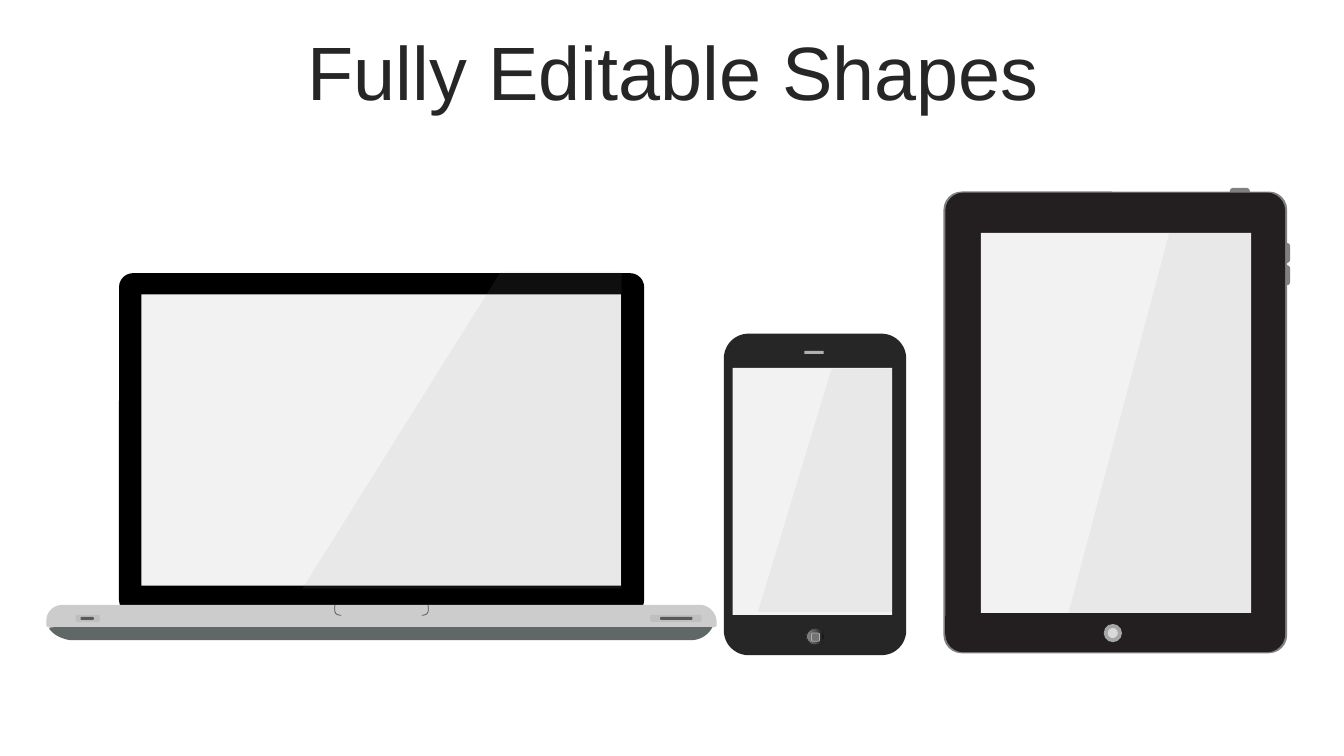
"""Build a slide with a laptop, a phone and a tablet drawn from editable shapes."""
import pptx
import pptx.util
import pptx.dml.color
import pptx.enum.shapes
import pptx.enum.text
import pptx.oxml
import pptx.oxml.ns

Pt = pptx.util.Pt
KIND = pptx.enum.shapes.MSO_SHAPE
COLORS = {
    "title": "262626", "tablet": "231F20", "phone": "262626", "lid": "000000",
    "edge": "808080", "screen": "F2F2F2", "glare": "999999", "base": "CCCCCC",
    "underside": "5F6767", "notch": "4D4D4D", "port": "BFBFBF", "slot": "595959",
    "speaker": "B0B0B0", "ring": "A6A6A6", "button": "D9D9D9", "home": "737373",
}
HOME_STOPS = [(0, "0F0F0F"), (56, "595959"), (91, "808080"), (100, "BFBFBF")]


def rgb(name):
    """Return the colour stored under a name."""
    return pptx.dml.color.RGBColor.from_string(COLORS[name])


def paint(shape, color):
    """Give a shape a plain fill without line or shadow."""
    shape.shadow.inherit = False
    shape.fill.solid()
    shape.fill.fore_color.rgb = rgb(color)
    shape.line.fill.background()


def add_preset(group, kind, color, left, top, width, height, radius=None):
    """Add a preset shape, with a corner radius where it has one."""
    shape = group.shapes.add_shape(kind, Pt(left), Pt(top), Pt(width), Pt(height))
    if radius is not None:
        shape.adjustments[0] = min(0.5, radius / min(width, height))
    paint(shape, color)
    return shape


def trace(path, steps=12):
    """Turn points and cubic curves (six numbers) into a list of points."""
    points = [path[0]]
    for part in path[1:]:
        if len(part) == 2:
            points.append(part)
            continue
        corners = [points[-1], part[:2], part[2:4], part[4:]]
        for step in range(1, steps + 1):
            t = step / steps
            weights = [(1 - t) ** 3, 3 * t * (1 - t) ** 2, 3 * t * t * (1 - t), t ** 3]
            points.append(tuple(sum(w * corner[axis] for w, corner in zip(weights, corners))
                                for axis in (0, 1)))
    return points


def add_outline(group, color, path, close=True):
    """Add a filled freeform along a path."""
    points = [(Pt(x), Pt(y)) for x, y in trace(path)]
    builder = group.shapes.build_freeform(*points[0])
    builder.add_line_segments(points[1:], close=close)
    shape = builder.convert_to_shape()
    paint(shape, color)
    return shape


def add_glare(group, top_left, top, right, bottom, bottom_left):
    """Add a faint slanted reflection over a screen."""
    shape = add_outline(group, "glare", [(top_left, top), (right, top),
                                         (right, bottom), (bottom_left, bottom)])
    color = shape._element.spPr.find(".//" + pptx.oxml.ns.qn("a:srgbClr"))
    color.append(pptx.oxml.parse_xml(
        f'<a:alpha {pptx.oxml.ns.nsdecls("a")} val="10000"/>'))


def add_notch_corner(group, x, direction):
    """Add one hairline corner of the lid notch."""
    shape = add_outline(group, "notch", [
        (x, 432), (x - direction, 438.5, x + direction, 439.2, x + 4.3 * direction, 439.5)],
        close=False)
    shape.fill.background()
    shape.line.color.rgb = rgb("notch")
    shape.line.width = Pt(0.5)


def add_home_gradient(shape):
    """Fill the home button with its four-stop gradient."""
    shape.fill.gradient()
    shape.fill.gradient_angle = 180
    stops = shape._element.spPr.find(".//" + pptx.oxml.ns.qn("a:gsLst"))
    for stop in list(stops):
        stops.remove(stop)
    for position, color in HOME_STOPS:
        stops.append(pptx.oxml.parse_xml(
            f'<a:gs {pptx.oxml.ns.nsdecls("a")} pos="{position * 1000}">'
            f'<a:srgbClr val="{color}"/></a:gs>'))


def add_title(slide, text):
    """Add the centred slide title."""
    box = slide.shapes.add_textbox(Pt(25.2), Pt(25.9), Pt(911.5), Pt(56.9))
    frame = box.text_frame
    frame.word_wrap = True
    frame.vertical_anchor = pptx.enum.text.MSO_ANCHOR.MIDDLE
    paragraph = frame.paragraphs[0]
    paragraph.text = text
    paragraph.alignment = pptx.enum.text.PP_ALIGN.CENTER
    paragraph.line_spacing = 0.9
    paragraph.font.name = "Arial"
    paragraph.font.size = Pt(54)
    paragraph.font.color.rgb = rgb("title")


def add_tablet(slide):
    """Draw the tablet."""
    group = slide.shapes.add_group_shape()
    rounded = KIND.ROUNDED_RECTANGLE
    add_preset(group, rounded, "edge", 878.4, 134.2, 14.4, 5, 2.5)
    for top in (189.4, 173.5):
        add_preset(group, rounded, "edge", 916.6, top, 5, 14.4, 2.5)
    add_preset(group, rounded, "edge", 673.9, 136.8, 245.5, 329.8, 13)
    add_preset(group, rounded, "tablet", 675.2, 137.6, 242.8, 328.3, 13)
    add_preset(group, KIND.RECTANGLE, "screen", 700.6, 166.3, 193, 271.5)
    add_glare(group, 835.2, 166.3, 893.5, 437.8, 763.2)
    add_preset(group, KIND.OVAL, "ring", 788.4, 445.7, 13, 13)
    add_preset(group, KIND.OVAL, "button", 791.3, 448.6, 7.2, 7.2)


def add_phone(slide):
    """Draw the phone."""
    group = slide.shapes.add_group_shape()
    add_preset(group, KIND.ROUNDED_RECTANGLE, "phone", 517, 238.3, 130.3, 229.7, 17.7)
    add_preset(group, KIND.RECTANGLE, "speaker", 574.6, 250.6, 13.7, 2.2)
    home = add_preset(group, KIND.OVAL, "home", 576, 448.6, 13, 12.2)
    add_home_gradient(home)
    home.line.color.rgb = rgb("phone")
    home.line.width = Pt(0)
    square = add_preset(group, KIND.ROUNDED_RECTANGLE, "home", 579.6, 452.2, 5.8, 5.8, 1)
    square.line.color.rgb = rgb("speaker")
    square.line.width = Pt(0.5)
    add_preset(group, KIND.RECTANGLE, "screen", 523.4, 262.8, 113.8, 176.4)
    add_glare(group, 594, 263.5, 637.2, 437, 541.4)


def add_laptop(slide):
    """Draw the laptop."""
    group = slide.shapes.add_group_shape()
    add_outline(group, "underside", [
        (495.4, 457.2), (495.4, 457.2, 504.7, 456.5, 509, 447.8),
        (509, 445.7, 506.9, 443.5, 504.7, 443.5), (40.3, 445),
        (38.2, 445, 35.3, 447.1, 35.3, 449.3), (38.9, 454.3, 45.4, 456.5, 49.7, 457.2)])
    add_preset(group, KIND.ROUNDED_RECTANGLE, "lid", 85, 195.1, 375.1, 243.4, 10)
    add_preset(group, KIND.RECTANGLE, "screen", 101, 210.2, 342.5, 208.1)
    add_outline(group, "base", [
        (45.4, 432), (499.7, 432), (506.2, 432, 511.9, 437.8, 511.9, 444.2),
        (511.9, 446.4), (511.9, 446.4, 512.6, 448.6, 507.6, 447.8), (38.9, 447.8),
        (36.7, 448.6, 33.1, 448.6, 33.1, 446.4), (33.1, 443.5),
        (33.1, 437, 38.2, 432, 45.4, 432)])
    add_notch_corner(group, 239.3, 1)
    add_notch_corner(group, 305.7, -1)
    for port_left, port_width, slot_left, slot_width in (
            (54, 17.3, 57.6, 9.4), (464.4, 36.7, 471.6, 23)):
        add_preset(group, KIND.ROUNDED_RECTANGLE, "port", port_left, 439.2, port_width, 5, 1.4)
        add_preset(group, KIND.ROUNDED_RECTANGLE, "slot", slot_left, 440.6, slot_width, 2.2, 0.6)
    add_glare(group, 357.8, 194, 444, 420.5, 216)


def main():
    """Build and save the slide."""
    presentation = pptx.Presentation()
    presentation.slide_width = Pt(960)
    presentation.slide_height = Pt(540)
    slide = presentation.slides.add_slide(presentation.slide_layouts[6])
    add_title(slide, "Fully Editable Shapes")
    add_tablet(slide)
    add_phone(slide)
    add_laptop(slide)
    presentation.save("out.pptx")


if __name__ == "__main__":
    main()
